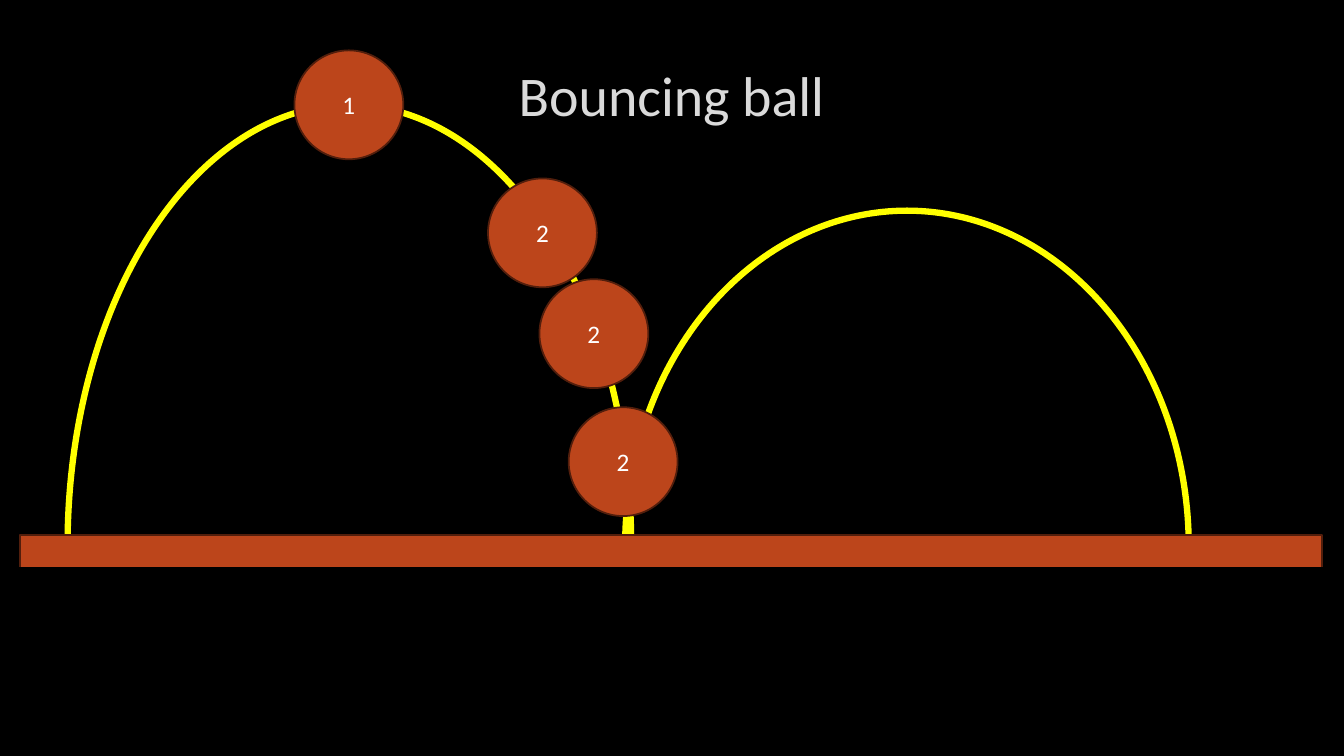
from pptx import Presentation
from pptx import util as u
from pptx.dml.color import RGBColor
from pptx.enum import shapes, text

WIDE, HIGH = 13.33, 7.5
FONT = "Calibri"
HEX = {"night": "000000", "rust": "BC451B", "edge": "521E0C",
       "path": "FFFF00", "title": "DADADA", "white": "FFFFFF"}
TITLE = "Bouncing ball"
SPAN = 5.59
ARCS = [(0.67, 1.04, 8.75), (6.2, 2.09, 6.66)]
FLOOR = (0.2, 5.31, 12.91, 0.32)
MASK = (0, 5.63, 13.46, 4.38)
SIZE = 1.08
FIRST = ("1", 2.92, 0.5)
FALLS = [("2", 5.64, 4.04), ("2", 4.84, 1.77), ("2", 5.35, 2.77)]
OVAL = shapes.MSO_SHAPE.OVAL
RECT = shapes.MSO_SHAPE.RECTANGLE


def color(name):
    return RGBColor.from_string(HEX[name])


def write(shape, words, size, tint):
    frame = shape.text_frame
    frame.text = words
    frame.word_wrap = True
    frame.vertical_anchor = text.MSO_ANCHOR.MIDDLE
    para = frame.paragraphs[0]
    para.alignment = text.PP_ALIGN.CENTER
    font = para.runs[0].font
    font.name, font.size = FONT, u.Pt(size)
    font.color.rgb = color(tint)


def draw(slide, kind, box, fill, line, width=1.25):
    shape = slide.shapes.add_shape(kind, *map(u.Inches, box))
    shape.shadow.inherit = False
    if fill:
        shape.fill.solid()
        shape.fill.fore_color.rgb = color(fill)
    else:
        shape.fill.background()
    shape.line.color.rgb = color(line)
    shape.line.width = u.Pt(width)
    return shape


def ball(slide, label, left, top):
    shape = draw(slide, OVAL, (left, top, SIZE, SIZE), "rust", "edge")
    write(shape, label, 18, "white")


def main():
    deck = Presentation()
    deck.slide_width, deck.slide_height = u.Inches(WIDE), u.Inches(HIGH)
    slide = deck.slides.add_slide(deck.slide_layouts[5])
    slide.background.fill.solid()
    slide.background.fill.fore_color.rgb = color("night")

    title = slide.shapes.title
    title.left, title.top = u.Inches(1), u.Inches(0.4)
    title.width, title.height = u.Inches(11.32), u.Inches(1.06)
    write(title, TITLE, 40, "title")

    for left, top, tall in ARCS:
        draw(slide, OVAL, (left, top, SPAN, tall), None, "path", 4.5)
    draw(slide, RECT, FLOOR, "rust", "edge")
    ball(slide, *FIRST)
    draw(slide, RECT, MASK, "night", "night")
    for fall in FALLS:
        ball(slide, *fall)

    deck.save("out.pptx")


if __name__ == "__main__":
    main()
